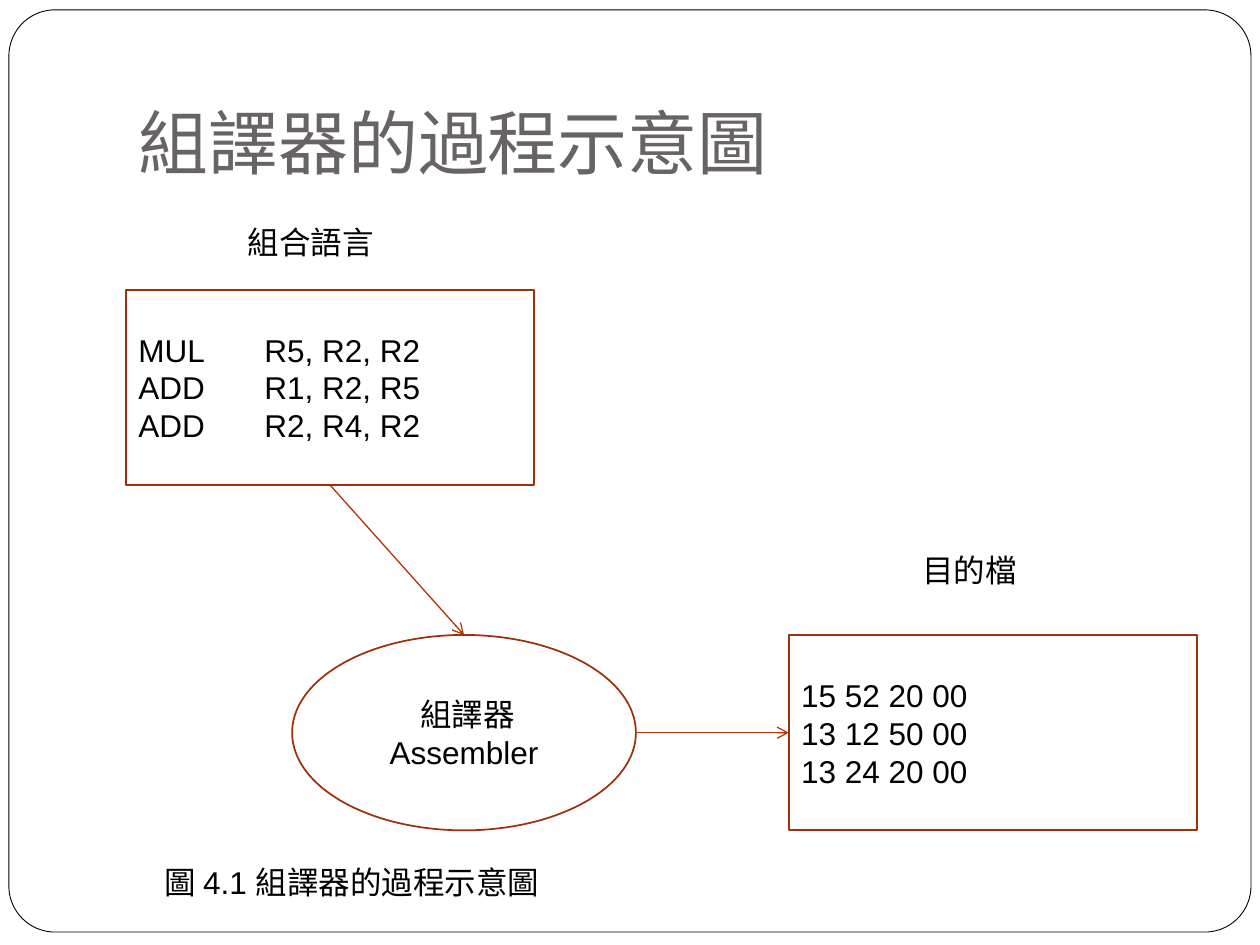
from lxml import etree
from pptx import Presentation
from pptx.dml.color import RGBColor
from pptx.enum import shapes, text
from pptx.oxml import ns
from pptx.util import Cm, Pt

WHITE = RGBColor(0xFF, 0xFF, 0xFF)
BLACK = RGBColor(0x00, 0x00, 0x00)
GREY = RGBColor(0x69, 0x64, 0x64)
RUST = RGBColor(0x9B, 0x32, 0x0E)
ARROW = RGBColor(0xAF, 0x34, 0x08)

LEFT, CENTER = text.PP_ALIGN.LEFT, text.PP_ALIGN.CENTER
TOP, MIDDLE, BOTTOM = text.MSO_ANCHOR.TOP, text.MSO_ANCHOR.MIDDLE, text.MSO_ANCHOR.BOTTOM
RECTANGLE, OVAL = shapes.MSO_SHAPE.RECTANGLE, shapes.MSO_SHAPE.OVAL


def write_text(shape, lines, font, alignment=LEFT, anchor=TOP, wrap=True, bottom=0.13):
    frame = shape.text_frame
    frame_format = {
        "word_wrap": wrap, "vertical_anchor": anchor,
        "margin_left": Cm(0.25), "margin_right": Cm(0.25),
        "margin_top": Cm(0.13), "margin_bottom": Cm(bottom),
    }
    for name, value in frame_format.items():
        setattr(frame, name, value)
    for index, line in enumerate(lines):
        paragraph = frame.add_paragraph() if index else frame.paragraphs[0]
        paragraph.alignment = alignment
        run = paragraph.add_run()
        run.text = line
        run.font.color.rgb = font["color"]
        for name in ("name", "size"):
            setattr(run.font, name, font[name])


presentation = Presentation()
presentation.slide_width, presentation.slide_height = Cm(25.4), Cm(19.05)
slide = presentation.slides.add_slide(presentation.slide_layouts[6])

body_font = {"name": "Arial", "size": Pt(18), "color": BLACK}
title_font = {"name": "Lato", "size": Pt(40), "color": GREY}

frame_shape = slide.shapes.add_shape(
    shapes.MSO_SHAPE.ROUNDED_RECTANGLE, Cm(0.18), Cm(0.2), Cm(25.04), Cm(18.59))
frame_shape.adjustments[0] = 0.05
frame_shape.shadow.inherit = False
frame_shape.fill.solid()
frame_shape.fill.fore_color.rgb = WHITE
frame_shape.line.color.rgb = BLACK
frame_shape.line.width = Pt(0.5)

title = slide.shapes.add_textbox(Cm(2.54), Cm(0.76), Cm(21.59), Cm(3.18))
write_text(title, ["組譯器的過程示意圖"], title_font, anchor=BOTTOM, bottom=0.25)

nodes = [
    (RECTANGLE, 2.54, 5.84, 8.23, LEFT, ["MUL\tR5, R2, R2", "ADD\tR1, R2, R5", "ADD\tR2, R4, R2"]),
    (RECTANGLE, 15.9, 12.8, 8.23, LEFT, ["15 52 20 00", "13 12 50 00", "13 24 20 00"]),
    (OVAL, 5.89, 12.8, 6.93, CENTER, [" 組譯器", "Assembler"]),
]
node_shapes = []
for kind, left, top, width, alignment, lines in nodes:
    shape = slide.shapes.add_shape(kind, Cm(left), Cm(top), Cm(width), Cm(3.94))
    shape.shadow.inherit = False
    shape.fill.background()
    shape.line.color.rgb = RUST
    shape.line.width = Pt(1)
    write_text(shape, lines, body_font, alignment, MIDDLE)
    node_shapes.append(shape)
assembly, object_file, assembler = node_shapes

arrows = []
for _ in range(2):
    arrow = slide.shapes.add_connector(
        shapes.MSO_CONNECTOR.STRAIGHT,
        assembler.left + assembler.width, assembler.top + assembler.height // 2,
        object_file.left, object_file.top + object_file.height // 2)
    arrow.line.color.rgb = ARROW
    arrow.line.width = Pt(0.75)
    etree.SubElement(arrow.line._get_or_add_ln(), ns.qn("a:tailEnd"), type="arrow")
    etree.SubElement(arrow._element.spPr, ns.qn("a:effectLst"))
    arrows.append(arrow)
arrows[0].begin_connect(assembly, 2)
arrows[0].end_connect(assembler, 0)
arrows[1].end_connect(object_file, 1)

labels = [
    (4.75, 4.37, 3.58, True, "組合語言"),
    (18.34, 10.97, 2.41, False, "目的檔"),
    (3.07, 17.27, 8.36, False, "圖 4.1 組譯器的過程示意圖"),
]
for left, top, width, wrap, label in labels:
    shape = slide.shapes.add_textbox(Cm(left), Cm(top), Cm(width), Cm(1.02))
    write_text(shape, [label], body_font, wrap=wrap)

presentation.save("out.pptx")
